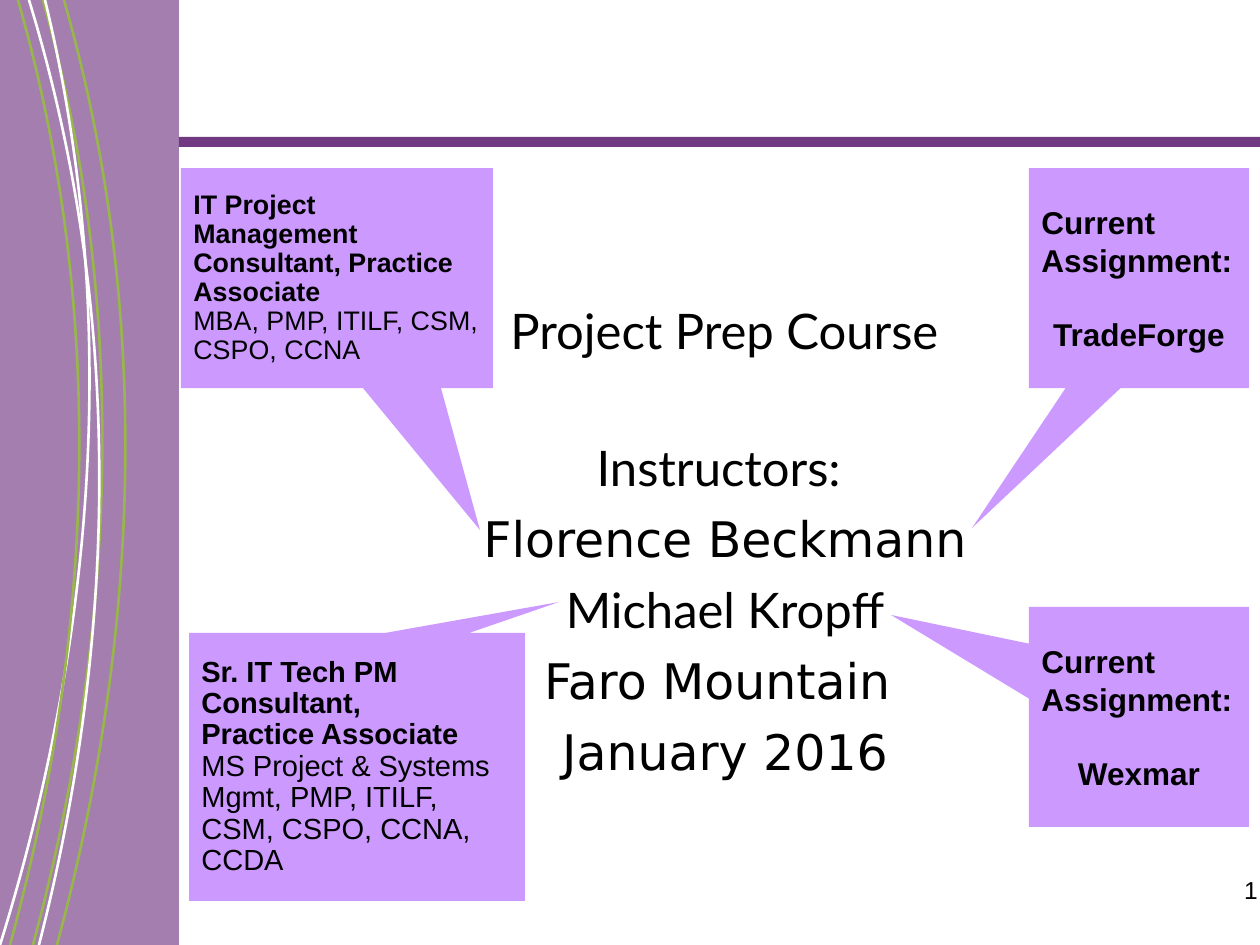
from typing import NamedTuple

from lxml.etree import SubElement
from pptx import Presentation
from pptx.dml.color import RGBColor
from pptx.enum.shapes import MSO_SHAPE
from pptx.enum.text import MSO_ANCHOR, PP_ALIGN
from pptx.oxml.ns import qn
from pptx.util import Emu, Pt

EMU_PER_PX = 914400 / 126
SLIDE_W, SLIDE_H = 1260, 945
COLORS = {
    "purple": "723983",
    "lilac": "CC99FF",
    "green": "99B64C",
    "white": "FFFFFE",
    "text": "000000",
}


class Box(NamedTuple):
    left: int
    top: int
    width: int
    height: int


class Point(NamedTuple):
    x: int
    y: int


class Line(NamedTuple):
    text: str
    size: float
    font: str = "Arial"
    bold: bool = False
    align: PP_ALIGN = PP_ALIGN.LEFT
    space_before: float = 0
    spacing: float = 1.0


class Callout(NamedTuple):
    box: Box
    tip: Point
    lines: list[Line]


class Curve(NamedTuple):
    color: str
    top: int
    upper: Point
    lower: Point
    bottom: int


def px(length: int) -> Emu:
    return Emu(round(length * EMU_PER_PX))


def rgb(name: str) -> RGBColor:
    return RGBColor.from_string(COLORS[name])


def write_lines(frame, lines: list[Line]) -> None:
    frame.word_wrap = True
    for index, line in enumerate(lines):
        paragraph = frame.paragraphs[0] if index == 0 else frame.add_paragraph()
        paragraph.text = line.text
        paragraph.alignment = line.align
        paragraph.line_spacing = line.spacing
        if index:
            paragraph.space_before = Pt(line.space_before)
        paragraph.font.name = line.font
        paragraph.font.size = Pt(line.size)
        paragraph.font.bold = line.bold
        paragraph.font.color.rgb = rgb("text")


def add_block(slide, preset: MSO_SHAPE, box: Box, color: str):
    block = slide.shapes.add_shape(preset, *map(px, box))
    block.shadow.inherit = False
    block.fill.solid()
    block.fill.fore_color.rgb = rgb(color)
    block.line.fill.background()
    return block


def add_text(slide, box: Box, lines: list[Line]) -> None:
    write_lines(slide.shapes.add_textbox(*map(px, box)).text_frame, lines)


def add_callout(slide, callout: Callout) -> None:
    box, tip = callout.box, callout.tip
    bubble = add_block(slide, MSO_SHAPE.RECTANGULAR_CALLOUT, box, "lilac")
    bubble.adjustments[0] = (tip.x - box.left) / box.width - 0.5
    bubble.adjustments[1] = (tip.y - box.top) / box.height - 0.5
    bubble.text_frame.vertical_anchor = MSO_ANCHOR.MIDDLE
    write_lines(bubble.text_frame, callout.lines)


def add_curve(slide, curve: Curve) -> None:
    """Draw one cubic arc from the top edge to the bottom edge of the slide."""
    start, *controls = [
        (px(point[0]), px(point[1]))
        for point in ((curve.top, 0), curve.upper, curve.lower,
                      (curve.bottom, SLIDE_H))
    ]
    builder = slide.shapes.build_freeform(*start)
    builder.add_line_segments(controls, close=False)
    arc = builder.convert_to_shape()
    arc.shadow.inherit = False
    arc.fill.background()
    arc.line.color.rgb = rgb(curve.color)
    arc.line.width = Pt(1.5)

    # Join the three straight segments into a single Bezier segment
    segments = list(arc.element.iter(qn("a:lnTo")))
    bezier = SubElement(segments[0].getparent(), qn("a:cubicBezTo"))
    for segment in segments:
        bezier.append(segment[0])
        segment.getparent().remove(segment)


def assignment(client: str) -> list[Line]:
    return [
        Line("Current Assignment:", 18, bold=True),
        Line(client, 18, bold=True, align=PP_ALIGN.CENTER, space_before=21),
    ]


def profile(size: float, roles: list[str], credentials: str) -> list[Line]:
    return [Line(role, size, bold=True, spacing=0.9) for role in roles] + [
        Line(credentials, size, spacing=0.9)
    ]


def heading(text: str, font: str = "Lato") -> Line:
    return Line(text, 28, font, align=PP_ALIGN.CENTER, space_before=7)


CURVES = [
    Curve("green", 43, Point(145, 363), Point(98, 704), 33),
    Curve("green", 64, Point(168, 363), Point(122, 704), 57),
    Curve("white", 29, Point(140, 363), Point(101, 704), 39),
    Curve("white", 45, Point(134, 367), Point(74, 708), 0),
    Curve("green", 18, Point(122, 363), Point(76, 704), 10),
]

CALLOUTS = [
    Callout(Box(181, 168, 312, 220), Point(480, 530), profile(
        15.3, ["IT Project Management Consultant, Practice Associate"],
        "MBA, PMP, ITILF, CSM, CSPO, CCNA")),
    Callout(Box(189, 633, 336, 268), Point(559, 602), profile(
        16.6, ["Sr. IT Tech PM Consultant,", "Practice Associate"],
        "MS Project & Systems Mgmt, PMP, ITILF, CSM, CSPO, CCNA, CCDA")),
    Callout(Box(1029, 168, 220, 220), Point(972, 528), assignment("TradeForge")),
    Callout(Box(1029, 607, 220, 220), Point(891, 615), assignment("Wexmar")),
]


def main() -> None:
    deck = Presentation()
    deck.slide_width, deck.slide_height = px(SLIDE_W), px(SLIDE_H)
    slide = deck.slides.add_slide(deck.slide_layouts[6])

    # Header rule and side panel with its arcs
    add_block(slide, MSO_SHAPE.RECTANGLE, Box(179, 137, 1081, 10), "purple")
    panel = add_block(slide, MSO_SHAPE.RECTANGLE, Box(0, 0, 179, SLIDE_H), "purple")
    panel_color = next(panel.element.iter(qn("a:srgbClr")))
    SubElement(panel_color, qn("a:alpha"), val="65000")
    for curve in CURVES:
        add_curve(slide, curve)

    # Page number
    add_text(slide, Box(976, 869, 294, 66), [Line("1", 14, align=PP_ALIGN.RIGHT)])

    # Course title and instructors
    add_text(slide, Box(189, 294, 1071, 203), [heading("Project Prep Course")])
    add_text(slide, Box(284, 431, 882, 347), [
        heading("Instructors: "),
        heading("Florence Beckmann", "DejaVu Sans"),
        heading("Michael Kropff"),
        heading("Faro Mountain ", "DejaVu Sans"),
        heading("January 2016", "DejaVu Sans"),
    ])

    # Instructor profiles and assignments
    for callout in CALLOUTS:
        add_callout(slide, callout)

    deck.save("out.pptx")


if __name__ == "__main__":
    main()
